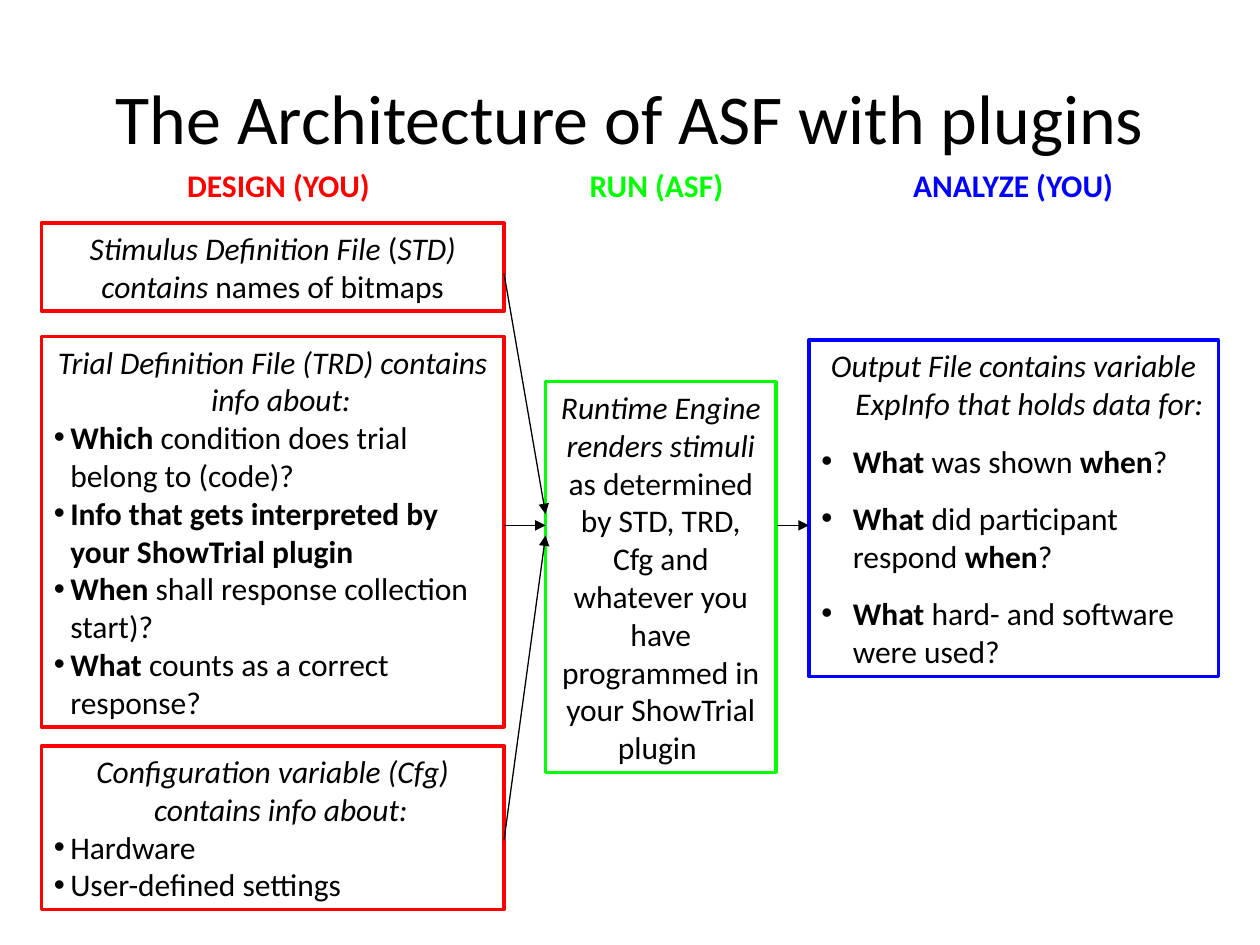
from lxml import etree
from pptx import Presentation
from pptx.dml.color import RGBColor
from pptx.enum.shapes import MSO_CONNECTOR, MSO_SHAPE
from pptx.enum.text import MSO_ANCHOR, MSO_AUTO_SIZE, PP_ALIGN
from pptx.oxml.ns import qn
from pptx.util import Inches, Pt

RECTANGLE = MSO_SHAPE.RECTANGLE
STRAIGHT = MSO_CONNECTOR.STRAIGHT
TOP, MIDDLE = MSO_ANCHOR.TOP, MSO_ANCHOR.MIDDLE
CENTER, LEFT = PP_ALIGN.CENTER, PP_ALIGN.LEFT
GROW = MSO_AUTO_SIZE.SHAPE_TO_FIT_TEXT

FONT = "Calibri"
COLORS = {"text": "000000", "design": "FF0000", "run": "00FF00", "analyze": "0000FF"}
BODY_SIZE = 18
SPACE_BEFORE = 11.2

HEADINGS = [
    ("DESIGN (YOU)", "design", 1),
    ("RUN (ASF)", "run", 4),
    ("ANALYZE (YOU)", "analyze", 6.83),
]

STIMULUS = [("Stimulus Definition File", "i"), (" (", ""),
            ("STD) contains ", "i"), ("names of bitmaps", "")]
TRIAL = [("Trial Definition File (TRD) contains info about:", "i")]
TRIAL_ITEMS = [
    [("Which", "b"), (" condition does trial belong to (code)?", "")],
    [("Info that gets interpreted by your ShowTrial plugin", "b")],
    [("When", "b"), (" shall response collection start)?", "")],
    [("What", "b"), (" counts as a correct response?", "")],
]
CONFIGURATION = [("Configuration variable (Cfg) contains info about:", "i")]
CONFIGURATION_ITEMS = [[("Hardware", "")], [("User-defined settings", "")]]
ENGINE = [("Runtime Engine renders stimuli", "i"),
          (" as determined by STD, TRD, Cfg and whatever you have "
           "programmed in your ShowTrial plugin ", "")]
OUTPUT = [("Output File contains variable ExpInfo that holds data for:", "i")]
OUTPUT_ITEMS = [
    [("What", "b"), (" was shown ", ""), ("when", "b"), ("?", "")],
    [("What", "b"), (" did participant respond ", ""), ("when", "b"), ("?", "")],
    [("What", "b"), (" hard- and software were used?", "")],
]

ARROWS = [
    (4, 2.17, 4.33, 4.08),
    (4, 4.17, 4.33, 4.17),
    (4, 6.67, 4.33, 4.25),
    (6.17, 4.17, 6.42, 4.17),
]


def color(name):
    return RGBColor.from_string(COLORS[name])


def fill_paragraph(para, spans, align=CENTER, size=BODY_SIZE, color_name="text", before=0):
    para.alignment = align
    para.space_before = Pt(before)
    for text, style in spans:
        span = para.add_run()
        span.text = text
        font = span.font
        font.name, font.size = FONT, Pt(size)
        font.bold, font.italic = style == "b", style == "i"
        font.color.rgb = color(color_name)


def hang(para, indent):
    properties = para._p.get_or_add_pPr()
    properties.set("marL", str(Inches(indent)))
    properties.set("indent", str(-Inches(indent)))
    return properties


def add_bullet(para, indent):
    properties = hang(para, indent)
    etree.SubElement(properties, qn("a:buFont")).set("typeface", "Arial")
    etree.SubElement(properties, qn("a:buChar")).set("char", "•")


def add_label(slide, position, text, size, color_name="text", style="", anchor=TOP, before=0):
    box = slide.shapes.add_textbox(*map(Inches, position))
    frame = box.text_frame
    frame.word_wrap = True
    frame.vertical_anchor = anchor
    fill_paragraph(frame.paragraphs[0], [(text, style)], size=size,
                   color_name=color_name, before=before)


def add_box(slide, position, color_name, lead, items=(), indent=0, item_space=0):
    box = slide.shapes.add_shape(RECTANGLE, *map(Inches, position))
    box.shadow.inherit = False
    box.fill.background()
    box.line.color.rgb = color(color_name)
    box.line.width = Pt(2)
    frame = box.text_frame
    frame.word_wrap = True
    frame.auto_size = GROW
    frame.vertical_anchor = TOP
    fill_paragraph(frame.paragraphs[0], lead, before=SPACE_BEFORE)
    hang(frame.paragraphs[0], indent)
    for item in items:
        para = frame.add_paragraph()
        fill_paragraph(para, item, align=LEFT, before=item_space)
        add_bullet(para, indent)


def add_arrow(slide, ends):
    arrow = slide.shapes.add_connector(STRAIGHT, *map(Inches, ends))
    arrow.line.color.rgb = color("text")
    arrow.line.width = Pt(0.75)
    etree.SubElement(arrow.line._get_or_add_ln(), qn("a:tailEnd")).set("type", "triangle")
    etree.SubElement(arrow._element.spPr, qn("a:effectLst"))


def main():
    deck = Presentation()
    deck.slide_width, deck.slide_height = Inches(10), Inches(7.5)
    slide = deck.slides.add_slide(deck.slide_layouts[6])

    add_label(slide, (0.5, 0.3, 9, 1.25), "The Architecture of ASF with plugins",
              40, anchor=MIDDLE)
    add_box(slide, (4.33, 3.03, 1.83, 3.1), "run", ENGINE)
    add_box(slide, (0.33, 1.77, 3.67, 0.7), "design", STIMULUS)
    add_box(slide, (0.33, 2.67, 3.67, 3.1), "design", TRIAL, TRIAL_ITEMS, 0.13)
    add_box(slide, (0.33, 5.92, 3.67, 1.3), "design", CONFIGURATION,
            CONFIGURATION_ITEMS, 0.13)
    add_box(slide, (6.42, 2.7, 3.25, 2.67), "analyze", OUTPUT, OUTPUT_ITEMS,
            0.25, SPACE_BEFORE)
    for ends in ARROWS:
        add_arrow(slide, ends)
    for text, color_name, left in HEADINGS:
        add_label(slide, (left, 1.27, 2.42, 0.4), text, BODY_SIZE, color_name,
                  "b", before=SPACE_BEFORE)

    deck.save("out.pptx")


if __name__ == "__main__":
    main()
